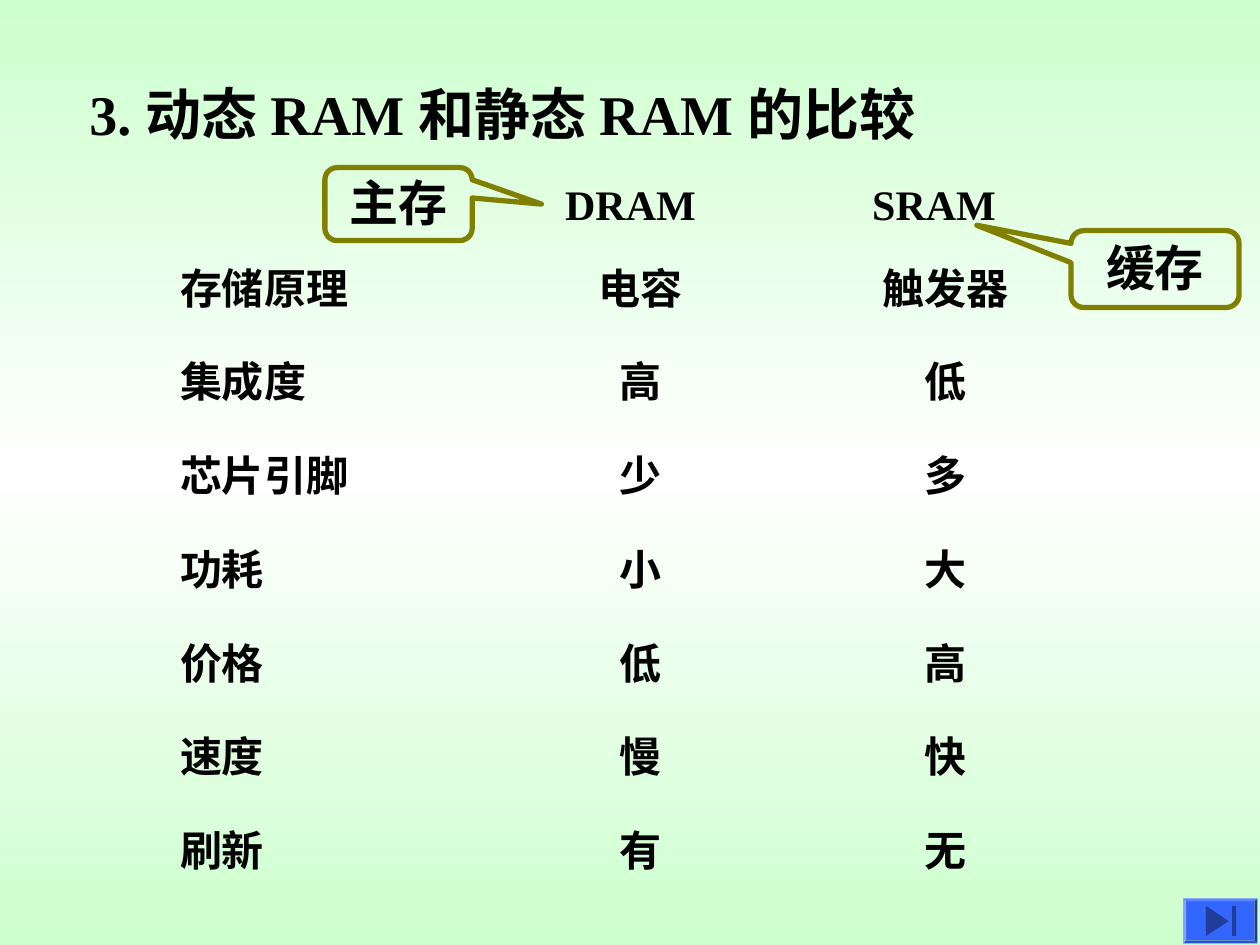
from copy import deepcopy
from dataclasses import dataclass

from pptx import Presentation
from pptx.dml.color import RGBColor
from pptx.enum.shapes import MSO_SHAPE
from pptx.enum.text import MSO_ANCHOR, MSO_AUTO_SIZE, PP_ALIGN
from pptx.oxml.ns import qn
from pptx.util import Cm, Pt

FONT = "Times New Roman"
BLACK, OLIVE, BLUE, NAVY = "000000", "808000", "3366FF", "1F3D99"
GREEN, WHITE = "CDFFCE", "FFFFFF"

CELL_W, CELL_H = 6.78, 1.27
LABEL_X = 3.38
HEADER_Y, ROWS_Y, ROW_STEP = 3.48, 5.16, 1.89


@dataclass
class Row:
    label: str
    dram: str
    sram: str


@dataclass
class Callout:
    text: str
    x: float
    y: float
    w: float
    h: float
    tip_x: float
    tip_y: float


ROWS = [
    Row("存储原理", "电容", "触发器"),
    Row("集成度", "高", "低"),
    Row("芯片引脚", "少", "多"),
    Row("功耗", "小", "大"),
    Row("价格", "低", "高"),
    Row("速度", "慢", "快"),
    Row("刷新", "有", "无"),
]

CALLOUTS = [
    Callout("主存", 6.55, 3.38, 2.97, 1.47, 0.97, 0),
    Callout("缓存", 21.59, 4.65, 3.39, 1.55, -1.06, -0.57),
]


def rgb(color: str) -> RGBColor:
    return RGBColor.from_string(color)


def set_background(s) -> None:
    fill = s.background.fill
    fill.gradient()
    fill.gradient_angle = 90
    stops = s.element.find(".//" + qn("a:gsLst"))
    stops.append(deepcopy(stops[0]))
    for stop, position, color in zip(
        fill.gradient_stops, (0, 0.5, 1), (GREEN, WHITE, GREEN)
    ):
        stop.position = position
        stop.color.rgb = rgb(color)


def write(tf, text: str, size: int, align, anchor=MSO_ANCHOR.TOP) -> None:
    tf.text = text
    tf.word_wrap = True
    tf.auto_size = MSO_AUTO_SIZE.NONE
    tf.vertical_anchor = anchor
    p = tf.paragraphs[0]
    p.alignment = align
    p.font.name = FONT
    p.font.size = Pt(size)
    p.font.bold = True
    p.font.color.rgb = rgb(BLACK)


def add_title(s, text: str) -> None:
    title = s.shapes.title
    title.left, title.top = Cm(1.55), Cm(1.47)
    title.width, title.height = Cm(19.05), Cm(1.63)
    write(title.text_frame, text, 32, PP_ALIGN.LEFT)


def add_cell(s, text: str, x: float, y: float, align=PP_ALIGN.CENTER) -> None:
    box = s.shapes.add_textbox(Cm(x), Cm(y), Cm(CELL_W), Cm(CELL_H))
    write(box.text_frame, text, 24, align)


def add_callout(s, c: Callout) -> None:
    sp = s.shapes.add_shape(
        MSO_SHAPE.ROUNDED_RECTANGULAR_CALLOUT, Cm(c.x), Cm(c.y), Cm(c.w), Cm(c.h)
    )
    sp.adjustments[0], sp.adjustments[1] = c.tip_x, c.tip_y
    sp.shadow.inherit = False
    sp.fill.background()
    sp.line.color.rgb = rgb(OLIVE)
    sp.line.width = Pt(3)
    tf = sp.text_frame
    tf.margin_top, tf.margin_bottom = 0, Cm(0.1)
    write(tf, c.text, 28, PP_ALIGN.CENTER, MSO_ANCHOR.MIDDLE)


def paint(sp, color: str) -> None:
    sp.shadow.inherit = False
    sp.fill.solid()
    sp.fill.fore_color.rgb = rgb(color)
    sp.line.fill.background()


def add_end_button(s) -> None:
    button = s.shapes.add_shape(
        MSO_SHAPE.BEVEL, Cm(23.85), Cm(18.11), Cm(1.5), Cm(0.91)
    )
    button.adjustments[0] = 0.07
    paint(button, BLUE)

    outline = s.shapes.build_freeform(Cm(24.31), Cm(18.26))
    outline.add_line_segments([(Cm(24.77), Cm(18.57)), (Cm(24.31), Cm(18.87))])
    paint(outline.convert_to_shape(), NAVY)

    bar = s.shapes.add_shape(
        MSO_SHAPE.RECTANGLE, Cm(24.84), Cm(18.26), Cm(0.08), Cm(0.61)
    )
    paint(bar, NAVY)


def main() -> None:
    prs = Presentation()
    prs.slide_width, prs.slide_height = Cm(25.4), Cm(19.05)
    s = prs.slides.add_slide(prs.slide_layouts[5])
    set_background(s)
    add_title(s, "3. 动态 RAM 和静态 RAM 的比较")

    add_cell(s, "DRAM", 9.32, HEADER_Y)
    add_cell(s, "SRAM", 15.44, HEADER_Y)
    for i, row in enumerate(ROWS):
        y = ROWS_Y + i * ROW_STEP
        add_cell(s, row.label, LABEL_X, y, PP_ALIGN.LEFT)
        add_cell(s, row.dram, 9.53, y)
        add_cell(s, row.sram, 15.67, y)

    for callout in CALLOUTS:
        add_callout(s, callout)
    add_end_button(s)
    prs.save("out.pptx")


if __name__ == "__main__":
    main()
